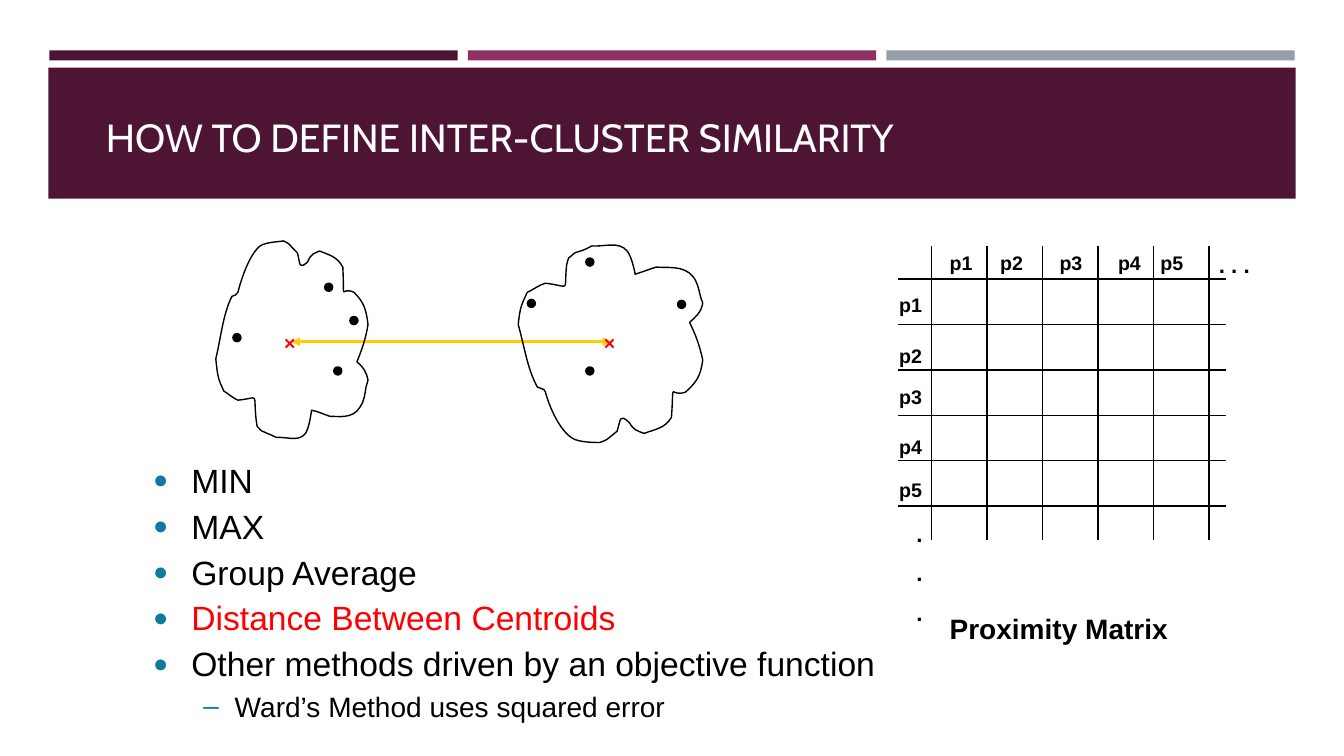
from lxml.etree import SubElement
from pptx import Presentation
from pptx.dml.color import RGBColor
from pptx.enum.shapes import MSO_CONNECTOR, MSO_SHAPE
from pptx.enum.text import MSO_ANCHOR, MSO_AUTO_SIZE, PP_ALIGN
from pptx.oxml.ns import qn
from pptx.util import Inches, Pt

HUES = {"plum": "4D1434", "rose": "903163", "gray": "969FA7", "gold": "FFCC00",
        "teal": "0C7B9C", "red": "FF0000", "black": "000000", "white": "FFFFFF"}

LEFT_EDGE = [
    (16, 55), (7, 73), (5, 97), (0, 117), (2, 135), (2, 136), (8, 149),
    (13, 152), (17, 156), (22, 158), (44, 156), (37, 149), (40, 177),
    (40, 179), (41, 182), (41, 184), (48, 191), (43, 187), (51, 191),
    (54, 192), (60, 195), (60, 195), (70, 194), (82, 200), (89, 191),
    (93, 185), (95, 168), (95, 168), (101, 169), (107, 172), (113, 174),
    (121, 174), (136, 177), (143, 165), (147, 160), (148, 152), (149, 145),
    (150, 142), (151, 138), (151, 138), (149, 129), (146, 125), (140, 120),
    (145, 108), (149, 96), (151, 83), (149, 66), (146, 60), (137, 51),
    (123, 44), (128, 65), (126, 26), (120, 15), (112, 14), (103, 10),
    (97, 13), (95, 12), (91, 21), (82, 29), (84, 23), (81, 12),
    (70, 1), (75, 4), (67, 0), (63, 1), (50, 1), (44, 5),
    (34, 13), (26, 35), (22, 51), (21, 54), (18, 54), (16, 55)]
RIGHT_EDGE = [
    (19, 145), (9, 127), (6, 104), (0, 83), (2, 65), (3, 64), (9, 51),
    (16, 48), (20, 44), (27, 42), (53, 45), (45, 52), (48, 24),
    (49, 21), (49, 19), (50, 17), (59, 10), (53, 13), (62, 10),
    (66, 9), (73, 5), (73, 5), (85, 6), (100, 0), (108, 10),
    (113, 16), (116, 33), (116, 33), (123, 31), (130, 28), (137, 26),
    (147, 27), (164, 24), (173, 35), (178, 41), (179, 48), (181, 56),
    (182, 58), (183, 62), (183, 62), (181, 72), (176, 75), (170, 81),
    (176, 93), (180, 104), (183, 118), (181, 134), (177, 140), (166, 150),
    (149, 156), (155, 135), (152, 175), (146, 186), (135, 187), (125, 191),
    (117, 188), (115, 188), (110, 180), (100, 171), (102, 177), (98, 189),
    (85, 199), (91, 196), (81, 200), (76, 200), (61, 200), (54, 196),
    (41, 188), (31, 165), (27, 150), (26, 146), (22, 147), (19, 145)]
LEFT_DOTS = [(1.17, 1.25), (1.08, 0.42), (0.17, 0.92), (1.33, 0.75)]
RIGHT_DOTS = [(1.58, 0.59), (0.09, 0.58), (0.67, 1.25), (0.67, 0.17)]
METHODS = [("MIN", "black", 0), ("MAX", "black", 0), ("Group Average", "black", 0),
           ("Distance Between Centroids", "red", 0),
           ("Other methods driven by an objective function", "black", 0),
           ("Ward’s Method uses squared error", "black", 1)]


def color(name):
    """Return the named hue."""
    return RGBColor.from_string(HUES[name])


def style(para, text, size=14, hue="black", bold=False, face="Arial"):
    """Write text into a paragraph with its format."""
    run = para.add_run()
    run.text = text
    font = run.font
    font.size, font.bold, font.name = Pt(size), bold, face
    font.color.rgb = color(hue)


def label(shapes, x, y, wide, high, text, gap=0, **form):
    """Add a text box with one paragraph per line of text."""
    frame = shapes.add_textbox(Inches(x), Inches(y), Inches(wide), Inches(high)).text_frame
    frame.word_wrap = True
    for row, line in enumerate(text.split("\n")):
        para = frame.add_paragraph() if row else frame.paragraphs[0]
        if row:
            para.space_before = Pt(gap)
        style(para, line, **form)


def block(shapes, kind, x, y, wide, high, hue):
    """Add a filled shape without outline or shadow."""
    shape = shapes.add_shape(kind, Inches(x), Inches(y), Inches(wide), Inches(high))
    shape.shadow.inherit = False
    shape.fill.solid()
    shape.fill.fore_color.rgb = color(hue)
    shape.line.fill.background()
    return shape


def rule(shapes, x1, y1, x2, y2, hue="black", width=1, heads=()):
    """Add a straight line, with arrowheads where asked."""
    line = shapes.add_connector(MSO_CONNECTOR.STRAIGHT, Inches(x1), Inches(y1),
                                Inches(x2), Inches(y2))
    line.line.color.rgb = color(hue)
    line.line.width = Pt(width)
    props = line.element.spPr
    for end in heads:
        SubElement(props.find(qn("a:ln")), qn(end), type="triangle")
    SubElement(props, qn("a:effectLst"))


def header(slide, x, y, wide):
    """Draw the three bars, the band and the title."""
    for col, hue in enumerate(("plum", "rose", "gray")):
        block(slide.shapes, MSO_SHAPE.RECTANGLE, x + 0.01 + 4.15 * col, y, 4.05, 0.1, hue)
    block(slide.shapes, MSO_SHAPE.RECTANGLE, x, y + 0.17, wide, 1.3, "plum")
    title = slide.shapes.title
    title.element.getparent().append(title.element)
    title.left, title.top = Inches(x + 0.47), Inches(y + 0.54)
    title.width, title.height = Inches(9.06), Inches(0.6)
    frame = title.text_frame
    frame.auto_size, frame.word_wrap = MSO_AUTO_SIZE.NONE, True
    frame.vertical_anchor = MSO_ANCHOR.BOTTOM
    frame.paragraphs[0].alignment = PP_ALIGN.LEFT
    style(frame.paragraphs[0], "HOW TO DEFINE INTER-CLUSTER SIMILARITY",
          size=28, hue="white", face="Cabin")


def bend(shape):
    """Turn each three line segments of a freeform into one cubic curve."""
    lines = list(shape.element.iter(qn("a:lnTo")))
    for i in range(0, len(lines), 3):
        trio = lines[i:i + 3]
        outline = trio[0].getparent()
        curve = SubElement(outline, qn("a:cubicBezTo"))
        trio[0].addprevious(curve)
        for line in trio:
            curve.append(line[0])
            outline.remove(line)


def cluster(shapes, x, y, edge, dots, mid):
    """Draw a cloud with its points and its centroid."""
    build = shapes.build_freeform(*edge[0], scale=Inches(0.01))
    build.add_line_segments(edge[1:], close=True)
    cloud = build.convert_to_shape(Inches(x), Inches(y))
    bend(cloud)
    cloud.shadow.inherit = False
    cloud.fill.background()
    cloud.line.color.rgb = color("black")
    cloud.line.width = Pt(1)
    for dx, dy in dots:
        dot = block(shapes, MSO_SHAPE.OVAL, x + dx, y + dy, 0.08, 0.08, "black")
        dot.line.color.rgb = color("black")
        dot.line.width = Pt(1)
    label(shapes, x + mid, y + 0.84, 0.25, 0.33, "×", hue="red", bold=True)


def matrix(slide, x, y):
    """Draw the proximity matrix grid with its labels."""
    shapes = slide.shapes.add_group_shape().shapes
    for i in range(6):
        across, down = x + 0.33 + 0.55 * i, y + 0.33 + 0.45 * i
        rule(shapes, across, y, across, y + 2.92)
        rule(shapes, x, down, x + 3.25, down)
    cols, rows = (0.41, 0.91, 1.5, 2.08, 2.5), (0.42, 0.92, 1.33, 1.83, 2.25)
    for i, (dx, dy) in enumerate(zip(cols, rows), 1):
        label(shapes, x + dx, y, 0.58, 0.33, f"p{i}", bold=True)
        label(shapes, x - 0.09, y + dy, 0.58, 0.33, f"p{i}", bold=True)
    label(shapes, x + 3.08, y, 0.58, 0.37, ". . .", size=16, bold=True)
    label(shapes, x + 0.08, y + 2.67, 0.58, 1.17, ".\n.\n.", gap=9, size=16, bold=True)
    label(slide.shapes, x + 0.41, y + 3.58, 2.75, 0.43, "Proximity Matrix", size=20, bold=True)


def bullet(para, level):
    """Give a paragraph its indent and bullet."""
    left, hang, size, mark = ((0.38, 0.38, 75, "●"), (0.81, 0.31, 100, "–"))[level]
    para.level = level
    props = para._p.get_or_add_pPr()
    props.set("marL", str(Inches(left)))
    props.set("indent", str(-Inches(hang)))
    SubElement(SubElement(props, qn("a:buClr")), qn("a:srgbClr"), val=HUES["teal"])
    SubElement(props, qn("a:buSzPct"), val=str(size * 1000))
    SubElement(props, qn("a:buFont"), typeface="Arial")
    SubElement(props, qn("a:buChar"), char=mark)


def methods(shapes, x, y, wide, high):
    """List the ways to measure similarity."""
    frame = shapes.add_textbox(Inches(x), Inches(y), Inches(wide), Inches(high)).text_frame
    frame.word_wrap = True
    for row, (text, hue, level) in enumerate(METHODS):
        para = frame.add_paragraph() if row else frame.paragraphs[0]
        bullet(para, level)
        para.space_before, para.space_after = Pt(2 if row else 0), Pt(2)
        style(para, text, size=20 if level else 24, hue=hue)


def main():
    """Build and save the slide."""
    deck = Presentation()
    deck.slide_width, deck.slide_height = Inches(13.33), Inches(7.5)
    slide = deck.slides.add_slide(deck.slide_layouts[5])
    shapes = slide.shapes
    header(slide, 0.48, 0.5, 12.37)
    rule(shapes, 2.89, 3.39, 6.06, 3.39, hue="gold", width=2, heads=("a:headEnd", "a:tailEnd"))
    cluster(shapes, 2.14, 2.39, LEFT_EDGE, LEFT_DOTS, 0.58)
    cluster(shapes, 5.14, 2.39, RIGHT_EDGE, RIGHT_DOTS, 0.75)
    matrix(slide, 8.91, 2.44)
    methods(shapes, 1.42, 4.51, 8.14, 2.9)
    deck.save("out.pptx")


if __name__ == "__main__":
    main()
